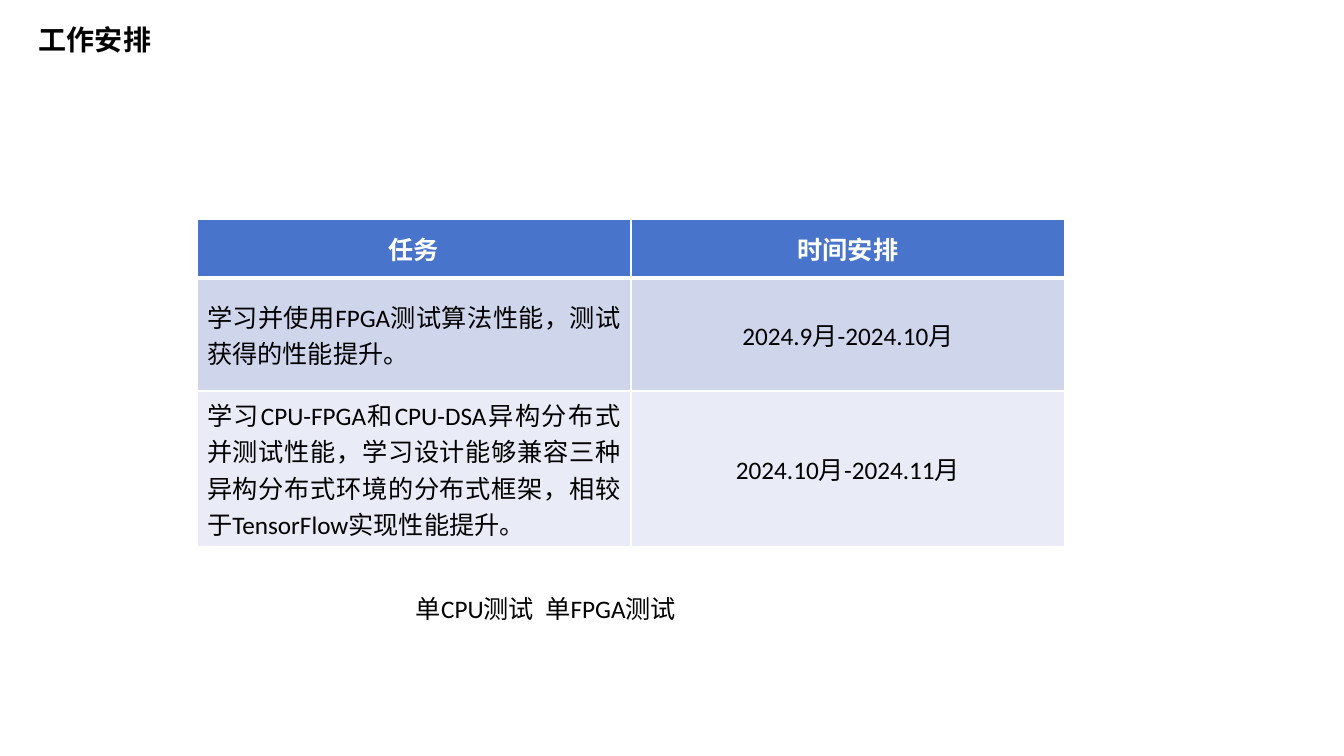
from lxml.etree import SubElement
from pptx import Presentation
from pptx.dml.color import RGBColor
from pptx.enum.text import MSO_ANCHOR as Anchor, PP_ALIGN as Align
from pptx.oxml.ns import qn
from pptx.util import Pt

PX = 12192000 / 1344
BLACK = RGBColor(0, 0, 0)
WHITE = RGBColor(255, 255, 255)
HEADER_BLUE = RGBColor(0x48, 0x74, 0xCB)
BAND_DARK = RGBColor(0xCF, 0xD6, 0xEC)
BAND_LIGHT = RGBColor(0xE9, 0xEB, 0xF6)

SCHEDULE = [
    ("任务", "时间安排"),
    ("学习并使用FPGA测试算法性能，测试获得的性能提升。", "2024.9月-2024.10月"),
    ("学习CPU-FPGA和CPU-DSA异构分布式并测试性能，学习设计能够兼容三种"
     "异构分布式环境的分布式框架，相较于TensorFlow实现性能提升。",
     "2024.10月-2024.11月"),
]
ROW_FILLS = [HEADER_BLUE, BAND_DARK, BAND_LIGHT]
ROW_HEIGHTS = [59, 113, 113]


def px(length):
    return round(length * PX)


def write(frame, text, size, color=BLACK, bold=False, align=None):
    paragraph = frame.paragraphs[0]
    paragraph.alignment = align
    run = paragraph.add_run()
    run.text = text
    styles = {"name": "Calibri", "size": Pt(size), "bold": bold}
    for key, value in styles.items():
        setattr(run.font, key, value)
    run.font.color.rgb = color


def add_label(slide, box, text, size, bold=False):
    label = slide.shapes.add_textbox(*map(px, box)).text_frame
    label.word_wrap = True
    write(label, text, size, bold=bold)


def set_borders(cell, widths):
    properties = cell._tc.get_or_add_tcPr()
    for side, width in widths.items():
        line = SubElement(properties, qn(f"a:ln{side}"), w=str(Pt(width)))
        fill = SubElement(line, qn("a:solidFill"))
        SubElement(fill, qn("a:srgbClr"), val=str(WHITE))


def add_schedule(slide, box):
    schedule = slide.shapes.add_table(len(SCHEDULE), 2, *map(px, box)).table
    for column in schedule.columns:
        column.width = px(box[2] / 2)
    for r, (entries, row_fill) in enumerate(zip(SCHEDULE, ROW_FILLS)):
        schedule.rows[r].height = px(ROW_HEIGHTS[r])
        header = r == 0
        for c, entry in enumerate(entries):
            cell = schedule.cell(r, c)
            set_borders(cell, {"L": 1, "R": 1, "T": 3 if r == 1 else 1,
                               "B": 3 if header else 1})
            cell.fill.solid()
            cell.fill.fore_color.rgb = row_fill
            cell.vertical_anchor = Anchor.MIDDLE
            align = Align.CENTER if header or c else Align.JUSTIFY
            write(cell.text_frame, entry, 18, WHITE if header else BLACK,
                  header, align)


def main():
    deck = Presentation()
    deck.slide_width, deck.slide_height = px(1344), px(756)
    slide = deck.slides.add_slide(deck.slide_layouts[6])
    add_schedule(slide, (197, 219, 868, sum(ROW_HEIGHTS)))
    add_label(slide, (29, 18, 300, 54), "工作安排", 20, bold=True)
    add_label(slide, (406, 588, 448, 40), "单CPU测试  单FPGA测试", 18)
    deck.save("out.pptx")


if __name__ == "__main__":
    main()
